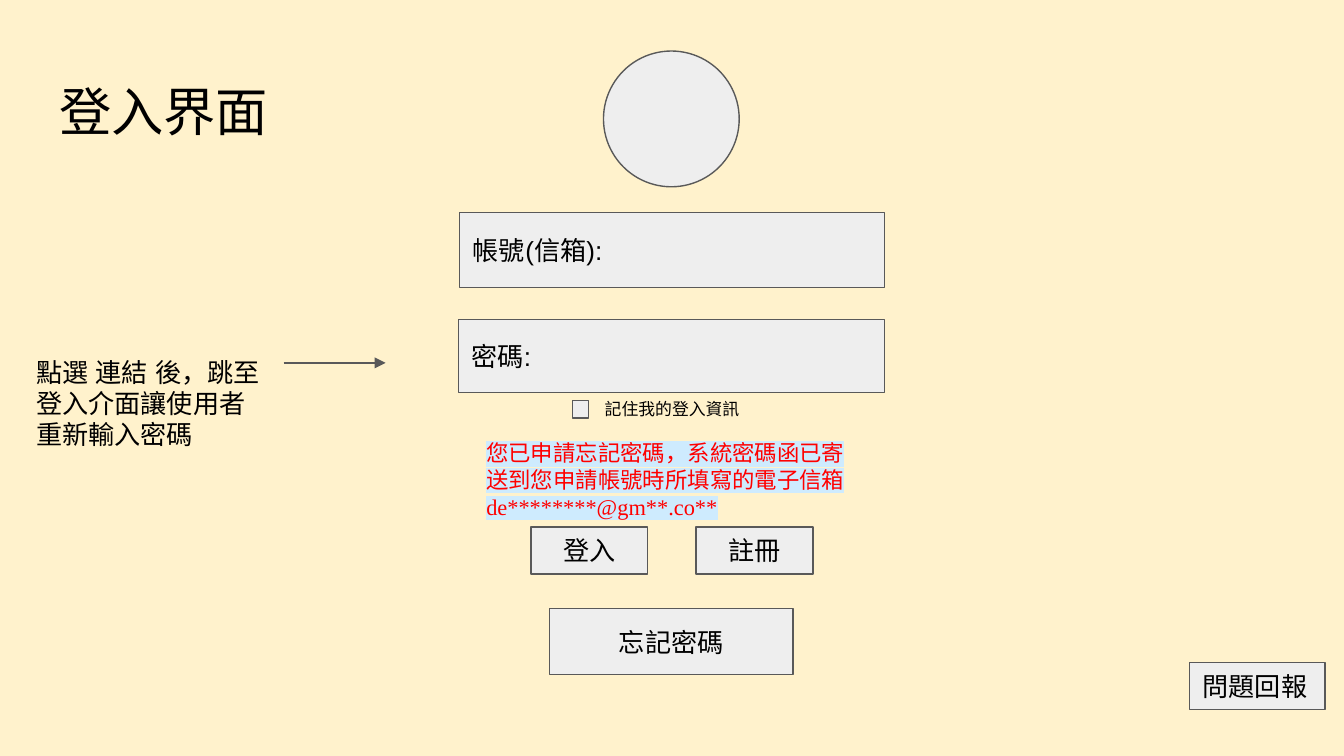
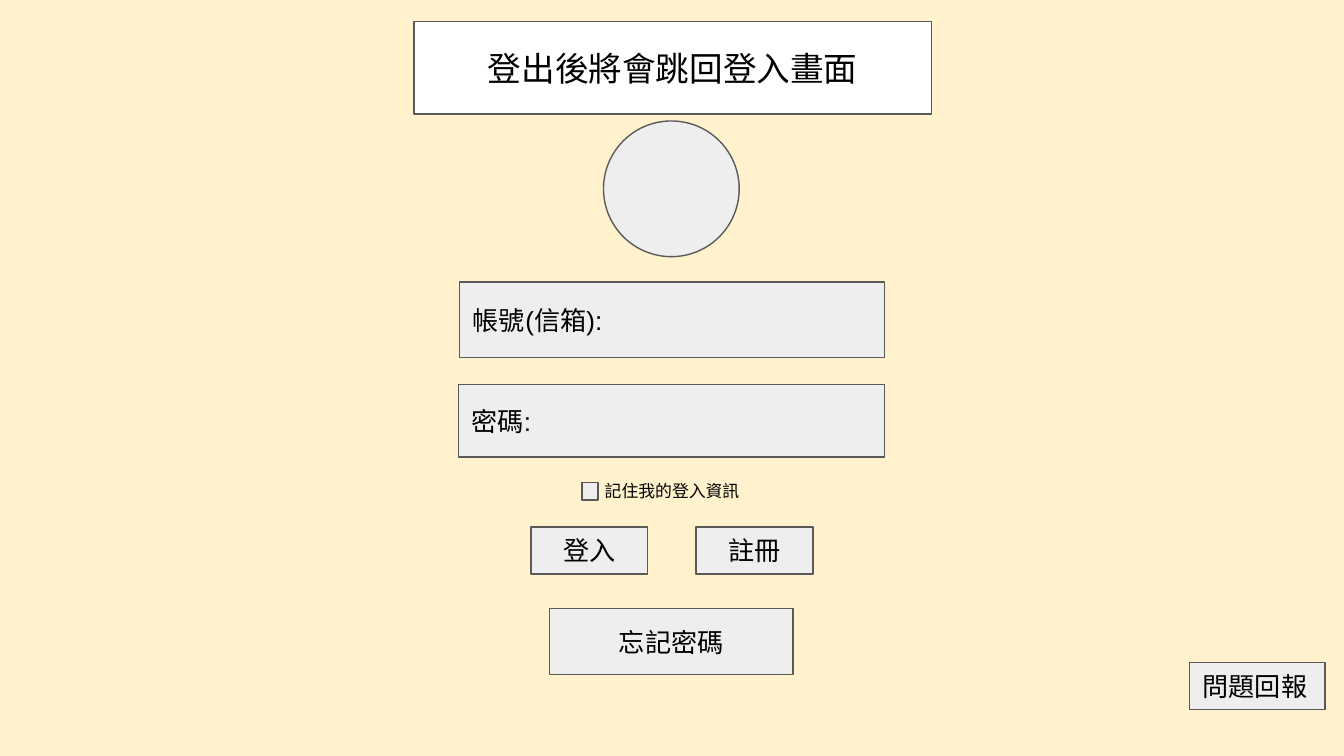
import dataclasses
import typing

import pptx
import pptx.dml.color
import pptx.enum.shapes
import pptx.enum.text
import pptx.oxml
import pptx.oxml.ns
import pptx.util

Inches = pptx.util.Inches
MSO_SHAPE = pptx.enum.shapes.MSO_SHAPE
ANCHOR = pptx.enum.text.MSO_ANCHOR
ALIGN = pptx.enum.text.PP_ALIGN
qn = pptx.oxml.ns.qn

COLORS = {
    "background": "FFF2CC",
    "control": "EEEEEE",
    "banner": "FFFFFF",
    "outline": "595959",
    "text": "000000",
    "warning": "FF0000",
    "highlight": "CEEBFE",
}
BASE_FONT = "Arial"
OUTLINE_WIDTH = pptx.util.Pt(0.75)
TITLE_ONLY, BLANK = 5, 6


@dataclasses.dataclass(frozen=True)
class Control:
    left: float
    top: float
    width: float
    height: float
    label: str = ""
    centered: bool = False
    size: int = 14
    fill: str = "control"
    preset: typing.Any = MSO_SHAPE.RECTANGLE


@dataclasses.dataclass(frozen=True)
class LoginLayout:
    avatar_top: float
    account_top: float
    password_top: float
    remember_top: float
    checkbox_left: float


SHARED_BUTTONS = (
    Control(3.95, 3.92, 0.87, 0.35, "登入", centered=True),
    Control(4.09, 4.53, 1.81, 0.49, "忘記密碼", centered=True),
    Control(5.18, 3.92, 0.87, 0.35, "註冊", centered=True),
    Control(8.85, 4.93, 1.01, 0.35, "問題回報"),
)


def rgb(name: str):
    return pptx.dml.color.RGBColor.from_string(COLORS[name])


def write_text(shape, text: str, *, size: int = 14, font: str = BASE_FONT,
               color: str = "text", align=ALIGN.LEFT, anchor=ANCHOR.TOP,
               highlight: typing.Optional[str] = None) -> None:
    frame = shape.text_frame
    frame.word_wrap = True
    frame.auto_size = pptx.enum.text.MSO_AUTO_SIZE.NONE
    frame.vertical_anchor = anchor
    frame.margin_left = frame.margin_right = Inches(0.1)
    frame.margin_top = frame.margin_bottom = Inches(0.1)
    paragraph = frame.paragraphs[0]
    paragraph.alignment = align
    paragraph.line_spacing = 1.0
    run = paragraph.add_run()
    run.text = text
    run.font.size = pptx.util.Pt(size)
    run.font.name = font
    run.font.color.rgb = rgb(color)
    properties = run.font._element
    east_asian = pptx.oxml.parse_xml(
        f'<a:ea {pptx.oxml.ns.nsdecls("a")} typeface="{BASE_FONT}"/>')
    properties.find(qn("a:latin")).addnext(east_asian)
    if highlight:
        mark = pptx.oxml.parse_xml(
            f'<a:highlight {pptx.oxml.ns.nsdecls("a")}>'
            f'<a:srgbClr val="{COLORS[highlight]}"/></a:highlight>')
        properties.find(qn("a:solidFill")).addnext(mark)


def place(left: float, top: float, width: float, height: float) -> tuple:
    return Inches(left), Inches(top), Inches(width), Inches(height)


def add_control(slide, control: Control) -> None:
    shape = slide.shapes.add_shape(
        control.preset,
        *place(control.left, control.top, control.width, control.height))
    shape.shadow.inherit = False
    shape.fill.solid()
    shape.fill.fore_color.rgb = rgb(control.fill)
    shape.line.color.rgb = rgb("outline")
    shape.line.width = OUTLINE_WIDTH
    if control.label:
        write_text(shape, control.label, size=control.size,
                   align=ALIGN.CENTER if control.centered else ALIGN.LEFT,
                   anchor=ANCHOR.MIDDLE)


def add_note(slide, bounds: tuple, text: str, **text_format) -> None:
    write_text(slide.shapes.add_textbox(*place(*bounds)), text, **text_format)


def add_arrow(slide, start_x: float, end_x: float, y: float) -> None:
    arrow = slide.shapes.add_connector(
        pptx.enum.shapes.MSO_CONNECTOR.STRAIGHT,
        Inches(start_x), Inches(y), Inches(end_x), Inches(y))
    arrow.line.color.rgb = rgb("outline")
    arrow.line.width = OUTLINE_WIDTH
    namespace = pptx.oxml.ns.nsdecls("a")
    arrow.line._get_or_add_ln().append(
        pptx.oxml.parse_xml(f'<a:tailEnd {namespace} type="triangle"/>'))
    arrow._element.spPr.append(
        pptx.oxml.parse_xml(f'<a:effectLst {namespace}/>'))


def add_login_slide(deck, layout_index: int, layout: LoginLayout):
    slide = deck.slides.add_slide(deck.slide_layouts[layout_index])
    slide.background.fill.solid()
    slide.background.fill.fore_color.rgb = rgb("background")
    controls = (
        Control(4.49, layout.avatar_top, 1.01, 1.01, preset=MSO_SHAPE.OVAL),
        Control(3.42, layout.account_top, 3.16, 0.56, "帳號(信箱):"),
        Control(3.41, layout.password_top, 3.17, 0.54, "密碼:"),
        *SHARED_BUTTONS,
    )
    for control in controls:
        add_control(slide, control)
    add_note(slide, (3.87, layout.remember_top, 2.26, 0.35),
             "記住我的登入資訊", size=9, align=ALIGN.CENTER)
    add_control(slide, Control(layout.checkbox_left,
                               layout.remember_top + 0.11, 0.12, 0.13))
    return slide


def build_password_reset(deck) -> None:
    slide = add_login_slide(
        deck, TITLE_ONLY, LoginLayout(0.38, 1.58, 2.38, 2.87, 4.26))
    title = slide.shapes.title
    title.left, title.top, title.width, title.height = place(
        0.34, 0.49, 9.32, 0.63)
    write_text(title, "登入界面", size=28)
    add_note(slide, (3.52, 3.17, 2.96, 0.97),
             "您已申請忘記密碼，系統密碼函已寄送到您申請帳號時所填寫的電子信箱"
             "de********@gm**.co**",
             size=12, font="Times New Roman", color="warning",
             highlight="highlight")
    add_arrow(slide, 2.11, 2.87, 2.7)
    add_note(slide, (0.17, 2.55, 1.94, 0.54),
             "點選 連結 後，跳至登入介面讓使用者重新輸入密碼")


def build_logged_out(deck) -> None:
    slide = add_login_slide(
        deck, BLANK, LoginLayout(0.9, 2.1, 2.86, 3.48, 4.33))
    add_control(slide, Control(3.08, 0.16, 3.85, 0.69, "登出後將會跳回登入畫面",
                               centered=True, size=18, fill="banner"))


def main() -> None:
    deck = pptx.Presentation()
    deck.slide_width = Inches(10)
    deck.slide_height = Inches(10 * 9 / 16)
    build_password_reset(deck)
    build_logged_out(deck)
    deck.save("out.pptx")


if __name__ == "__main__":
    main()
